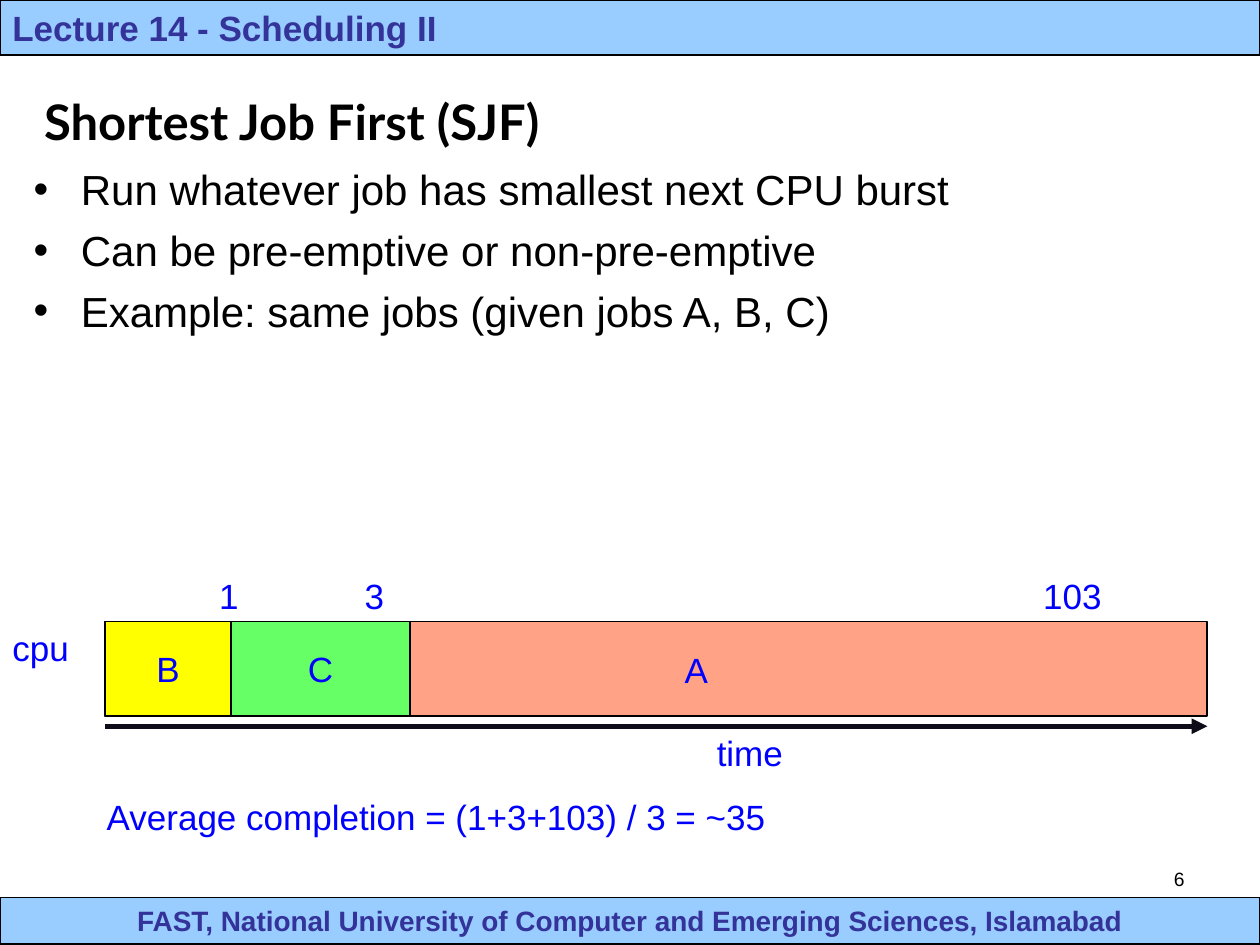
from dataclasses import dataclass

from lxml import etree
from pptx import Presentation
from pptx.dml.color import RGBColor
from pptx.enum.shapes import MSO_CONNECTOR, MSO_SHAPE
from pptx.enum.text import MSO_ANCHOR, PP_ALIGN
from pptx.oxml.ns import qn
from pptx.util import Cm, Pt

RECT = MSO_SHAPE.RECTANGLE
STRAIGHT = MSO_CONNECTOR.STRAIGHT
LEFT, CENTER, RIGHT = PP_ALIGN.LEFT, PP_ALIGN.CENTER, PP_ALIGN.RIGHT
TOP, MIDDLE = MSO_ANCHOR.TOP, MSO_ANCHOR.MIDDLE


@dataclass(frozen=True)
class Theme:
    sans: str = "Arial"
    heading: str = "Lato"
    ink: str = "000000"
    band: str = "99CCFF"
    band_ink: str = "333399"
    label: str = "0000FF"
    arrow: str = "0F0C19"
    job_a: str = "FFA285"
    job_b: str = "FFFF00"
    job_c: str = "66FF66"
    title_size: int = 28
    body_size: int = 24
    label_size: int = 20
    footer_size: int = 16
    number_size: int = 11


THEME = Theme()
LABEL = {"size": THEME.label_size, "color": THEME.label}


def rgb(value):
    return RGBColor.from_string(value)


def write(paragraph, text, size, color, bold=False, font=THEME.sans, align=LEFT):
    paragraph.text = text
    paragraph.alignment = align
    formats = {"name": font, "size": Pt(size), "bold": bold}
    for attribute, value in formats.items():
        setattr(paragraph.font, attribute, value)
    paragraph.font.color.rgb = rgb(color)


def add_text(slide, box, text, anchor=TOP, wrap=True, **style):
    frame = slide.shapes.add_textbox(*map(Cm, box)).text_frame
    frame.word_wrap = wrap
    frame.vertical_anchor = anchor
    write(frame.paragraphs[0], text, **style)


def add_block(slide, box, fill, text="", line_width=1, **style):
    block = slide.shapes.add_shape(RECT, *map(Cm, box))
    block.shadow.inherit = False
    block.fill.solid()
    block.fill.fore_color.rgb = rgb(fill)
    block.line.color.rgb = rgb(THEME.ink)
    block.line.width = Pt(line_width)
    if text:
        block.text_frame.vertical_anchor = MIDDLE
        write(block.text_frame.paragraphs[0], text, **style)


def add_band(slide, box, text, size, align):
    add_block(slide, box, THEME.band, text, line_width=0.75,
              size=size, color=THEME.band_ink, bold=True, align=align)


def add_bullets(slide, box, items):
    frame = slide.shapes.add_textbox(*map(Cm, box)).text_frame
    frame.word_wrap = True
    indent = Cm(0.95)
    for index, item in enumerate(items):
        paragraph = frame.add_paragraph() if index else frame.paragraphs[0]
        properties = paragraph._p.get_or_add_pPr()
        properties.set("marL", str(indent))
        properties.set("indent", str(-indent))
        etree.SubElement(properties, qn("a:buFont"), typeface=THEME.sans)
        etree.SubElement(properties, qn("a:buChar"), char="•")
        write(paragraph, item, THEME.body_size, THEME.ink)
        if index:
            paragraph.space_before = Pt(6)


def add_arrow(slide, left, right, y):
    arrow = slide.shapes.add_connector(STRAIGHT, Cm(left), Cm(y), Cm(right), Cm(y))
    arrow.line.color.rgb = rgb(THEME.arrow)
    arrow.line.width = Pt(3)
    etree.SubElement(arrow.line._get_or_add_ln(), qn("a:tailEnd"), type="triangle")
    etree.SubElement(arrow._element.spPr, qn("a:effectLst"))


def add_timeline(slide, box):
    """Place the CPU bar, its job segments, completion times and time axis."""
    left, top, width, height = box
    label_height = 1.12

    add_block(slide, box, THEME.job_a)
    add_text(slide, (left + 11.43, top + 0.41, 3.07, label_height), "A", **LABEL)

    segment_left = left
    for job, fill, length in (("B", THEME.job_b, 2.54), ("C", THEME.job_c, 3.6)):
        add_block(slide, (segment_left, top, length, height), fill, job,
                  align=CENTER, **LABEL)
        segment_left += length

    captions = (
        ("cpu", -left, -0.03, 1.9),
        ("1", 2.05, -1.08, 1.2),
        ("3", 4.98, -1.08, 1.2),
        ("103", 18.66, -1.08, 2.2),
        ("time", 12.08, 2.1, 2.5),
    )
    for text, dx, dy, length in captions:
        add_text(slide, (left + dx, top + dy, length, label_height), text, **LABEL)

    add_arrow(slide, left, left + width, top + height + 0.21)


def main():
    presentation = Presentation()
    presentation.slide_width, presentation.slide_height = Cm(25.4), Cm(19.05)
    slide = presentation.slides.add_slide(presentation.slide_layouts[6])

    add_band(slide, (0, 18.09, 25.4, 0.94),
             "FAST, National University of Computer and Emerging Sciences, Islamabad",
             THEME.footer_size, CENTER)
    add_band(slide, (0, 0, 25.4, 1.11), "Lecture 14 - Scheduling II",
             THEME.label_size, LEFT)
    add_text(slide, (18.21, 17.35, 5.92, 0.7), "6",
             size=THEME.number_size, color=THEME.ink, align=RIGHT)
    add_text(slide, (0.64, 1.48, 22.86, 1.9), "Shortest Job First (SJF)",
             anchor=MIDDLE, size=THEME.title_size, color=THEME.ink,
             bold=True, font=THEME.heading)
    add_bullets(slide, (0.43, 3.17, 24.97, 9.73), (
        "Run whatever job has smallest next CPU burst",
        "Can be pre-emptive or non-pre-emptive",
        "Example: same jobs (given jobs A, B, C)",
    ))
    add_timeline(slide, (2.12, 12.53, 22.22, 1.9))
    add_text(slide, (1.9, 15.91, 22.2, 1.12),
             "Average completion = (1+3+103) / 3 = ~35", **LABEL)

    presentation.save("out.pptx")


if __name__ == "__main__":
    main()
